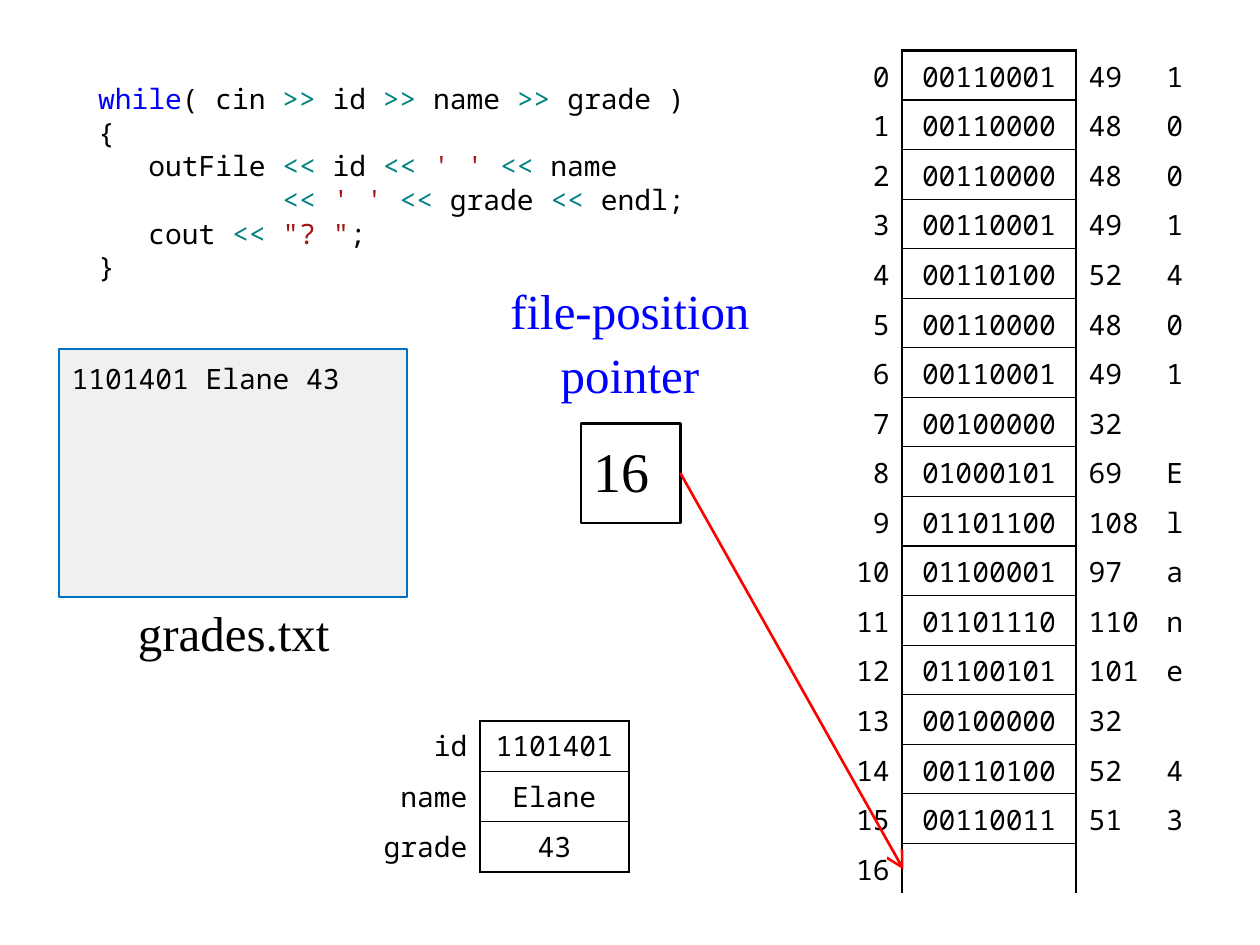
from lxml import etree
from pptx import Presentation
from pptx.dml.color import RGBColor
from pptx.enum import shapes, text
from pptx.oxml import ns
from pptx.util import Inches, Pt

# Content
MONO, SERIF = "Noto Sans Mono", "Times New Roman"
BLACK, BLUE, TEAL, BROWN, RED = "000000", "0000FF", "008080", "A31515", "FF0000"
code_lines = [
    [("while", BLUE), ("( cin ", BLACK), (">>", TEAL), (" id ", BLACK), (">>", TEAL),
     (" name ", BLACK), (">>", TEAL), (" grade )", BLACK)],
    [("{", BLACK)],
    [("   outFile ", BLACK), ("<<", TEAL), (" id ", BLACK), ("<< ", TEAL),
     ("' ' ", BROWN), ("<< ", TEAL), ("name", BLACK)],
    [("           ", BLACK), ("<< ", TEAL), ("' ' ", BROWN), ("<<", TEAL),
     (" grade ", BLACK), ("<<", TEAL), (" endl;", BLACK)],
    [("   cout ", BLACK), ("<< ", TEAL), ('"? "', BROWN), (";", BLACK)],
    [("}", BLACK)],
]
file_content = "1101401 Elane 43"
stored_bytes = "1001401 Elane 43"
variables = [("id", "1101401"), ("name", "Elane"), ("grade", "43")]
position = len(stored_bytes)

LEFT, CENTER, RIGHT = text.PP_ALIGN.LEFT, text.PP_ALIGN.CENTER, text.PP_ALIGN.RIGHT
MIDDLE = text.MSO_ANCHOR.MIDDLE
OUTER, INNER = 1.5, 0.75

prs = Presentation()
prs.slide_width, prs.slide_height = Inches(10), Inches(7.5)
slide = prs.slides.add_slide(prs.slide_layouts[6])


def rgb(color):
    return RGBColor.from_string(color)


def style(paragraph, size, font, color=None, align=LEFT):
    paragraph.alignment = align
    paragraph.font.size, paragraph.font.name = Pt(size), font
    if color:
        paragraph.font.color.rgb = rgb(color)


def add_label(box, lines, color, wrap):
    label = slide.shapes.add_textbox(*map(Inches, box)).text_frame
    label.word_wrap = wrap
    label.text = "\n".join(lines)
    for paragraph in label.paragraphs:
        style(paragraph, 28, SERIF, color, CENTER)
    return label


def add_box(box, content, size, font, fill, line, width, anchor, insets):
    rect = slide.shapes.add_shape(shapes.MSO_SHAPE.RECTANGLE, *map(Inches, box))
    rect.shadow.inherit = False
    if fill:
        rect.fill.solid()
        rect.fill.fore_color.rgb = rgb(fill)
    else:
        rect.fill.background()
    rect.line.color.rgb, rect.line.width = rgb(line), Pt(width)
    frame = rect.text_frame
    frame.margin_left = frame.margin_right = Inches(0.1)
    frame.margin_top, frame.margin_bottom = map(Inches, insets)
    frame.vertical_anchor = anchor
    frame.text = content
    style(frame.paragraphs[0], size, font, BLACK)
    return rect


def set_borders(cell, widths):
    """Widths in points for the sides L, R, T, B; 0 means no line."""
    props = cell._tc.get_or_add_tcPr()
    for index, (side, width) in enumerate(zip("LRTB", widths)):
        line = etree.Element(ns.qn(f"a:ln{side}"), w=str(Pt(width)))
        if width:
            fill = etree.SubElement(line, ns.qn("a:solidFill"))
            etree.SubElement(fill, ns.qn("a:srgbClr"), val=BLACK)
        else:
            etree.SubElement(line, ns.qn("a:noFill"))
        props.insert(index, line)


def add_grid(left, top, height, col_widths, aligns, rows, last_border, insets):
    """Table whose second column is framed."""
    grid = slide.shapes.add_table(len(rows), len(col_widths), Inches(left), Inches(top),
                                  Inches(sum(col_widths)), Inches(height)).table
    grid.first_row = grid.horz_banding = False
    for column, width in zip(grid.columns, col_widths):
        column.width = Inches(width)
    for r, row in enumerate(rows):
        grid.rows[r].height = Inches(height / len(rows))
        for c, content in enumerate(row):
            cell = grid.cell(r, c)
            cell.fill.background()
            cell.vertical_anchor = MIDDLE
            cell.margin_left = Inches(0.1)
            cell.margin_right = Inches(0.08 if aligns[c] == LEFT else 0.1)
            cell.margin_top, cell.margin_bottom = map(Inches, insets)
            cell.text = content
            style(cell.text_frame.paragraphs[0], 16, MONO, BLACK, aligns[c])
            framed = c == 1
            set_borders(cell, (
                OUTER if c in (1, 2) else 0,
                OUTER if c in (0, 1) else 0,
                framed and (INNER if r else OUTER),
                framed and (INNER if r < len(rows) - 1 else last_border),
            ))


# Program code
code = slide.shapes.add_textbox(*map(Inches, (0.68, 0.6, 5.31, 1.57))).text_frame
code.word_wrap = True
for i, line in enumerate(code_lines):
    paragraph = code.paragraphs[0] if i == 0 else code.add_paragraph()
    style(paragraph, 16, MONO)
    paragraph.line_spacing = 1.0
    for part, color in line:
        run = paragraph.add_run()
        run.text = part
        run.font.color.rgb = rgb(color)

# Text file and its name
add_box((0.47, 2.77, 2.76, 1.97), file_content, 16, MONO, "F0F0F2", "0070C0", 1,
        text.MSO_ANCHOR.TOP, (0.1, 0.1))
add_label((0.87, 4.73, 1.97, 0.59), ["grades.txt"], BLACK, False)

# Bytes of the file: address, bits, code, character
byte_rows = [(str(i), f"{ord(char):08b}", str(ord(char)), char.strip())
             for i, char in enumerate(stored_bytes)]
byte_rows.append((str(position), "", "", ""))
add_grid(6.57, 0.4, 6.69, (0.59, 1.38, 0.59, 0.39), (RIGHT, CENTER, LEFT, CENTER),
         byte_rows, 0, (0.02, 0))

# File-position pointer
pointer_label = add_label((3.82, 2.18, 2.36, 1.18), ["file-position", "pointer"], BLUE, True)
for paragraph in pointer_label.paragraphs:
    paragraph.space_before = Pt(3)
pointer = add_box((4.61, 3.36, 0.79, 0.79), str(position), 32, SERIF, None, BLACK, 1.5,
                  MIDDLE, (0, 0.04))
arrow = slide.shapes.add_connector(shapes.MSO_CONNECTOR.STRAIGHT, Inches(5.4), Inches(3.75),
                                   Inches(7.17), Inches(6.9))
arrow.begin_connect(pointer, 3)
arrow.line.color.rgb, arrow.line.width = rgb(RED), Pt(1.5)
etree.SubElement(arrow.line._get_or_add_ln(), ns.qn("a:tailEnd"),
                 type="arrow", w="lg", len="lg")
etree.SubElement(arrow._element.spPr, ns.qn("a:effectLst"))

# Program variables
add_grid(2.83, 5.72, 1.2, (0.98, 1.18), (RIGHT, CENTER), variables, OUTER, (0.05, 0.05))

prs.save("out.pptx")
